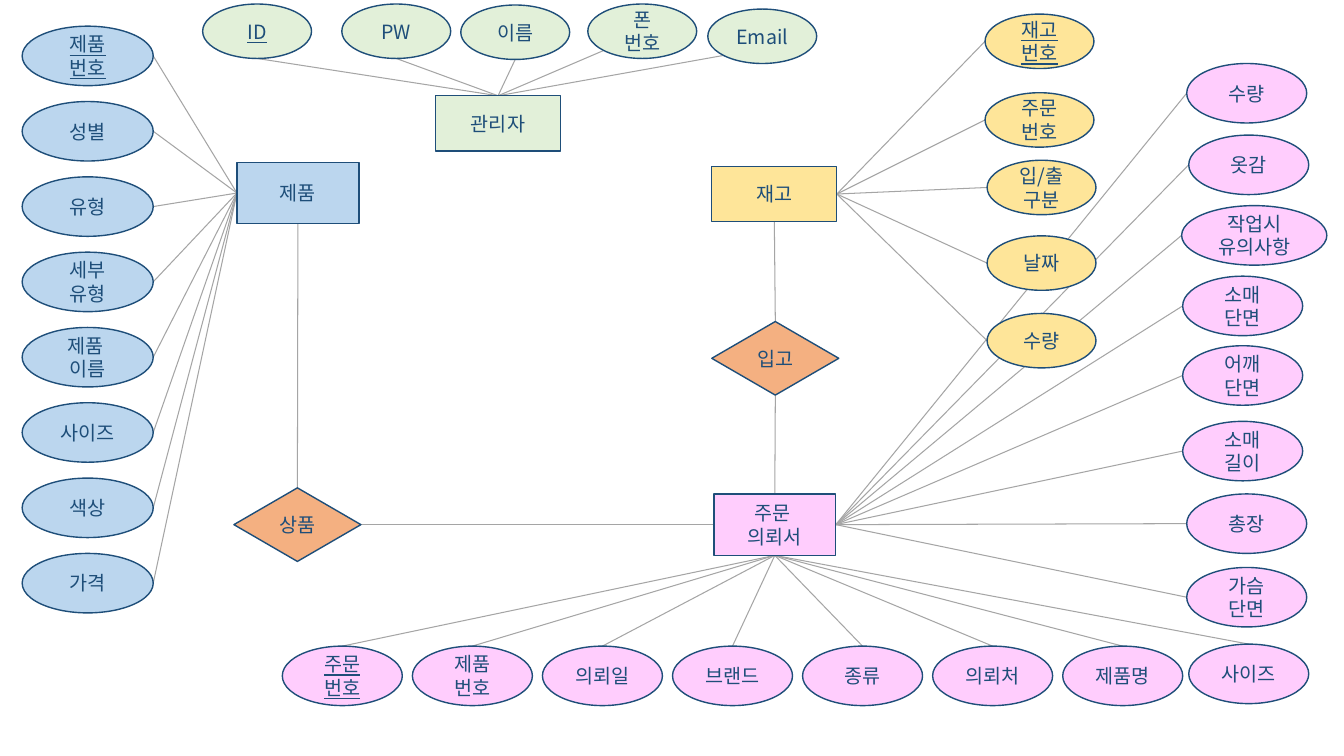
from dataclasses import dataclass
from enum import Enum

from pptx import Presentation
from pptx.dml.color import RGBColor
from pptx.enum.shapes import MSO_CONNECTOR as Connector, MSO_SHAPE as Preset
from pptx.enum.text import MSO_ANCHOR as Anchor, PP_ALIGN as Align
from pptx.oxml.ns import qn
from pptx.slide import Slide
from pptx.util import Inches, Pt
from lxml.etree import SubElement

FONT = "Noto Sans CJK KR"
INK, GREY = "1E4E79", "A5A5A5"
BLUE, PINK, ORANGE, YELLOW, GREEN = "BBD6EE", "FFCDFD", "F4B081", "FEE599", "E2F0D9"


class Side(Enum):
    """Attachment point as fractions of a node's width and height."""
    TOP = (0.5, 0)
    LEFT = (0, 0.5)
    BOTTOM = (0.5, 1)
    RIGHT = (1, 0.5)
    BOTTOM_LEFT = (0.15, 0.85)


@dataclass
class Node:
    label: str
    left: float
    top: float
    width: float
    height: float
    fill: str
    preset: Preset = Preset.OVAL
    key: bool = False

    def point(self, side: Side) -> tuple[float, float]:
        across, down = side.value
        return self.left + across * self.width, self.top + down * self.height


@dataclass
class Link:
    start: Node
    start_side: Side
    end: Node
    end_side: Side


def color(value: str) -> RGBColor:
    return RGBColor.from_string(value)


def draw_link(page: Slide, link: Link) -> None:
    ends = (*link.start.point(link.start_side), *link.end.point(link.end_side))
    line = page.shapes.add_connector(Connector.STRAIGHT, *map(Inches, ends))
    line.line.color.rgb = color(GREY)
    line.line.width = Pt(0.75)
    SubElement(line._element.spPr, qn("a:effectLst"))


def draw_node(page: Slide, node: Node) -> None:
    box = page.shapes.add_shape(
        node.preset, *map(Inches, (node.left, node.top, node.width, node.height)))
    box.shadow.inherit = False
    box.fill.solid()
    box.fill.fore_color.rgb = color(node.fill)
    box.line.color.rgb = color(INK)
    box.line.width = Pt(1)
    frame = box.text_frame
    frame.word_wrap = True
    frame.vertical_anchor = Anchor.MIDDLE
    for index, text in enumerate(node.label.split("\n")):
        para = frame.add_paragraph() if index else frame.paragraphs[0]
        para.alignment = Align.CENTER
        run = para.add_run()
        run.text = text
        run.font.size = Pt(14)
        run.font.name = FONT
        run.font.color.rgb = color(INK)
        if node.key:
            run.font.underline = True
        # Hangul takes its typeface from the East Asian slot
        SubElement(run._r.rPr, qn("a:ea")).set("typeface", FONT)


def oval(label: str, left: float, top: float, fill: str,
         width: float = 1.19, height: float = 0.59, key: bool = False) -> Node:
    return Node(label, left, top, width, height, fill, key=key)


def small_oval(label: str, left: float, top: float, fill: str, key: bool = False) -> Node:
    return oval(label, left, top, fill, 1.08, 0.54, key)


product = Node("제품", 2.35, 1.61, 1.21, 0.61, BLUE, Preset.RECTANGLE)
order = Node("주문 \n의뢰서", 7.08, 4.9, 1.21, 0.61, PINK, Preset.RECTANGLE)
stock = Node("재고", 7.06, 1.65, 1.24, 0.55, YELLOW, Preset.RECTANGLE)
manager = Node("관리자", 4.32, 0.95, 1.24, 0.55, GREEN, Preset.RECTANGLE)
receiving = Node("입고", 7.06, 3.19, 1.26, 0.73, ORANGE, Preset.DIAMOND)
goods = Node("상품", 2.32, 4.84, 1.26, 0.73, ORANGE, Preset.DIAMOND)

PRODUCT_LABELS = ["제품\n번호", "성별", "유형", "세부 유형", "제품 \n이름", "사이즈", "색상", "가격"]
PRODUCT_PITCH = (5.49 - 0.26) / (len(PRODUCT_LABELS) - 1)
product_ovals = [oval(label, 0.22, 0.26 + row * PRODUCT_PITCH, BLUE, 1.3, key=row == 0)
                 for row, label in enumerate(PRODUCT_LABELS)]

ORDER_LABELS = ["주문\n번호", "제품\n번호", "의뢰일", "브랜드", "종류", "의뢰처", "제품명"]
order_bottom = [oval(label, 2.8 + column * 1.29, 6.41, PINK, key=column == 0)
                for column, label in enumerate(ORDER_LABELS)]
order_bottom.append(oval("사이즈", 11.79, 6.39, PINK))

order_right = [
    oval("가슴 단면", 11.77, 5.63, PINK),
    oval("총장", 11.77, 4.9, PINK),
    oval("소매\n길이", 11.73, 4.18, PINK),
    oval("어깨\n단면", 11.73, 3.43, PINK),
    oval("소매\n단면", 11.73, 2.74, PINK),
    oval("작업시\n유의사항", 11.72, 2.04, PINK, width=1.44),
    oval("옷감", 11.79, 1.34, PINK),
    oval("수량", 11.77, 0.63, PINK),
]

stock_ovals = [
    small_oval("재고\n번호", 9.77, 0.14, YELLOW, key=True),
    small_oval("주문\n번호", 9.77, 0.92, YELLOW),
    small_oval("입/출\n구분", 9.79, 1.59, YELLOW),
    small_oval("날짜", 9.79, 2.34, YELLOW),
    small_oval("수량", 9.79, 3.11, YELLOW),
]

manager_near = [
    small_oval("ID", 2.01, 0.04, GREEN, key=True),
    small_oval("PW", 3.39, 0.04, GREEN),
    small_oval("이름", 4.57, 0.05, GREEN),
]
manager_far = [
    small_oval("폰\n번호", 5.83, 0.04, GREEN),
    small_oval("Email", 7.02, 0.09, GREEN),
]

BRANCHES = [
    (product, Side.LEFT, product_ovals, Side.RIGHT),
    (order, Side.BOTTOM, order_bottom, Side.TOP),
    (order, Side.RIGHT, order_right, Side.LEFT),
    (stock, Side.RIGHT, stock_ovals, Side.LEFT),
    (manager, Side.TOP, manager_near, Side.BOTTOM),
    (manager, Side.TOP, manager_far, Side.BOTTOM_LEFT),
]
RELATIONS = [
    Link(product, Side.BOTTOM, goods, Side.TOP),
    Link(order, Side.LEFT, goods, Side.RIGHT),
    Link(receiving, Side.BOTTOM, order, Side.TOP),
    Link(receiving, Side.TOP, stock, Side.BOTTOM),
]


def main() -> None:
    deck = Presentation()
    deck.slide_width, deck.slide_height = Inches(13.33), Inches(7.5)
    page = deck.slides.add_slide(deck.slide_layouts[6])
    links = RELATIONS + [Link(entity, side, attribute, far_side)
                         for entity, side, attributes, far_side in BRANCHES
                         for attribute in attributes]
    for link in links:
        draw_link(page, link)
    for node in (product, order, stock, manager, receiving, goods):
        draw_node(page, node)
    for _, _, attributes, _ in BRANCHES:
        for attribute in attributes:
            draw_node(page, attribute)
    deck.save("out.pptx")


if __name__ == "__main__":
    main()
